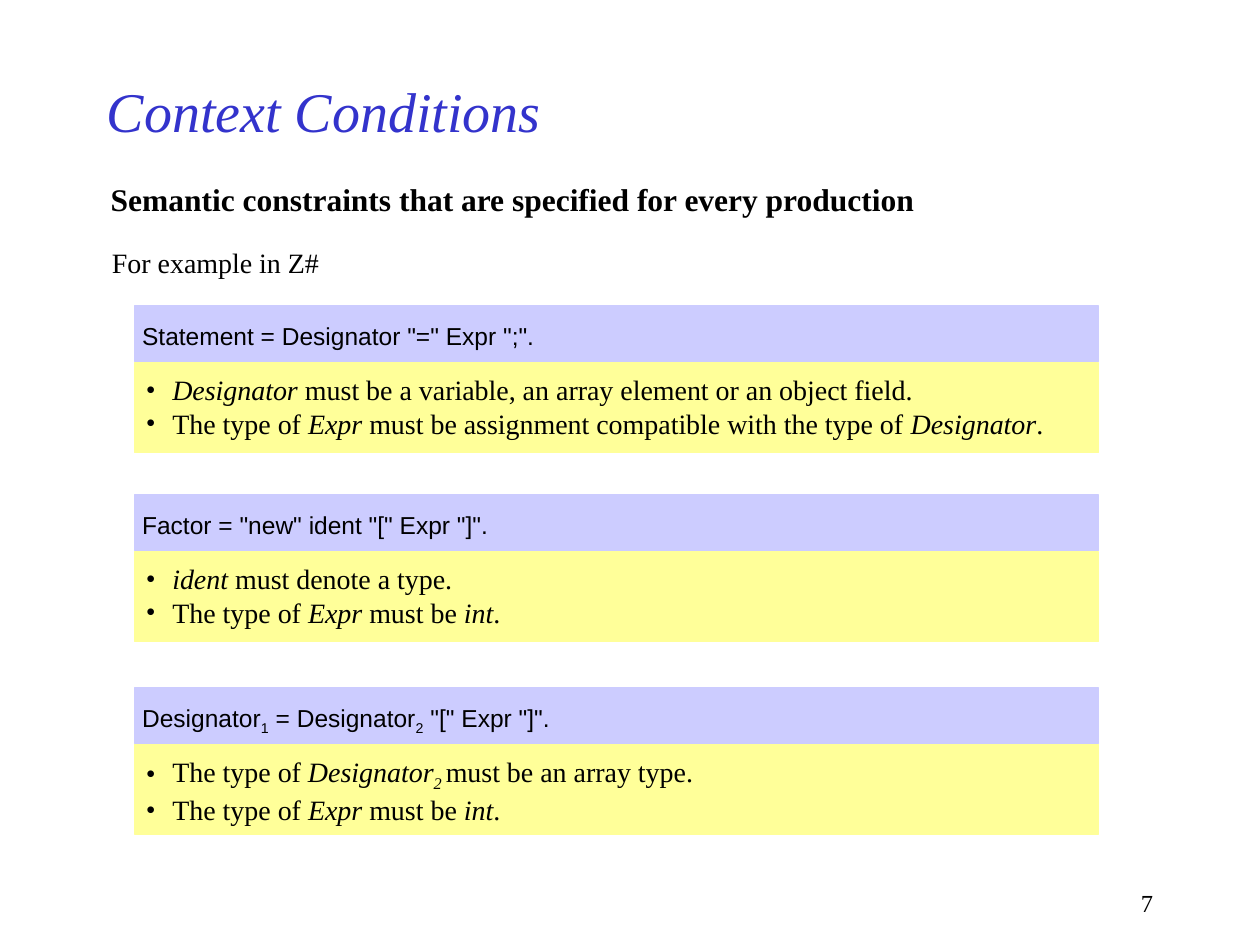
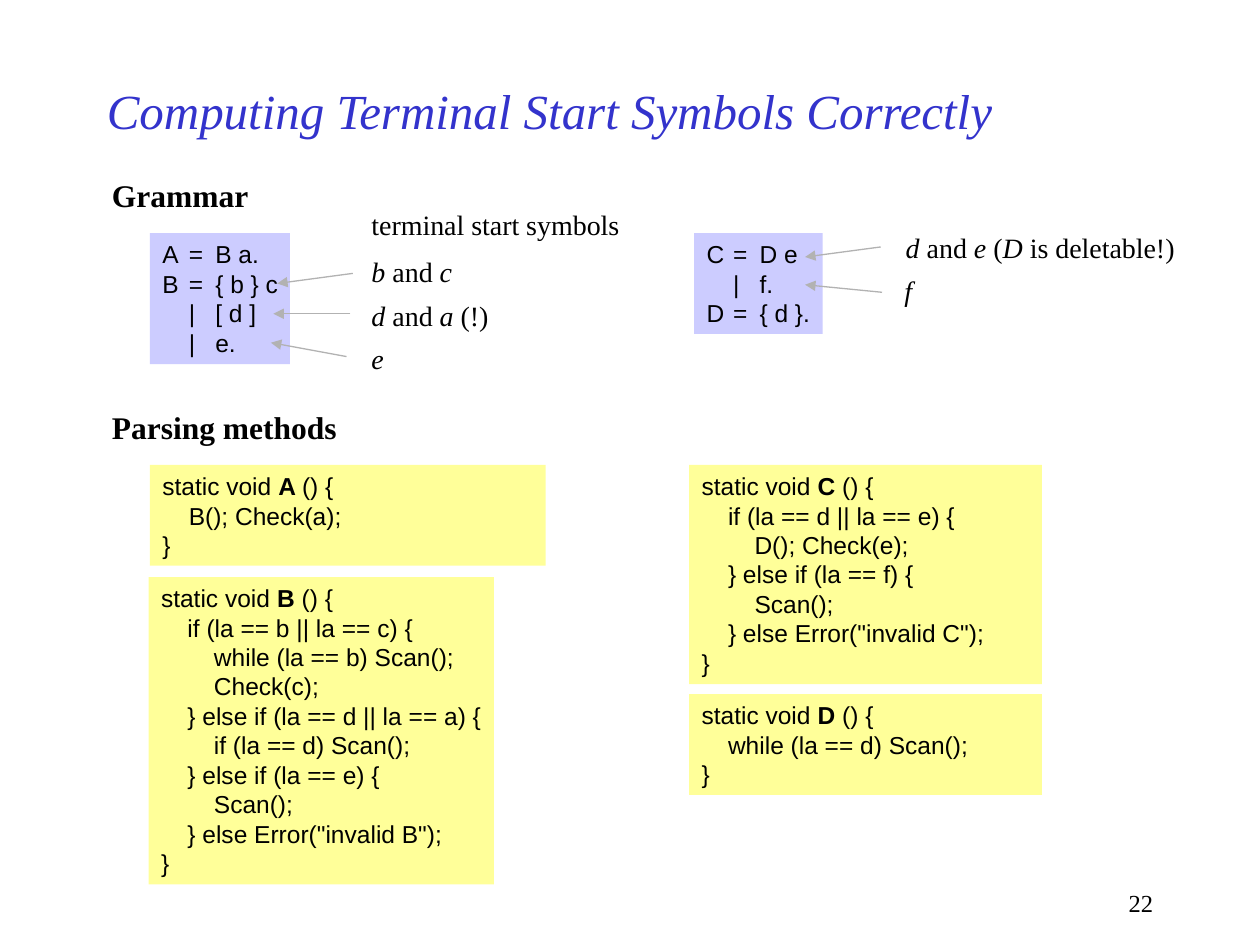
from lxml import etree
from pptx import Presentation
from pptx import util as u
from pptx.dml.color import RGBColor
from pptx.enum import shapes, text
from pptx.oxml import ns

PX = 9144
BLACK = RGBColor(0x00, 0x00, 0x00)
BLUE = RGBColor(0x33, 0x33, 0xCC)
LILAC = RGBColor(0xCC, 0xCC, 0xFF)
YELLOW = RGBColor(0xFF, 0xFF, 0x99)
GREY = RGBColor(0xB2, 0xB2, 0xB2)
SERIF, SANS = "Times New Roman", "Arial"
STEP = 21

RULES = [
    (243, [['Statement = Designator "=" Expr ";".']],
     [[("Designator", "i"), " must be a variable, an array element or an object field."],
      ["The type of ", ("Expr", "i"), " must be assignment compatible with the type of ",
       ("Designator", "i"), "."]]),
    (393, [['Factor = "new" ident "[" Expr "]".']],
     [[("ident", "i"), " must denote a type."],
      ["The type of ", ("Expr", "i"), " must be ", ("int", "i"), "."]]),
    (546, [["Designator", ("1", "s"), " = Designator", ("2", "s"), ' "[" Expr "]".']],
     [["The type of", (" Designator", "i"), ("2 ", "is"), "must be an array type."],
      ["The type of ", ("Expr", "i"), " must be ", ("int", "i"), "."]]),
]

GRAMMARS = [
    ((119, 185, 111, 104), ["A\t=\tB a.", "B\t=\t{ b } c", "\t|\t[ d ]", "\t|\te."]),
    ((551, 185, 102, 80), ["C\t=\tD e", "\t|\tf.", "D\t=\t{ d }."]),
]

START_SYMBOLS = [
    ((285, 160, 217, 37), ["terminal start symbols"]),
    ((285, 197, 84, 37), [("b", "i"), " and ", ("c", "i")]),
    ((285, 232, 113, 37), [("d", "i"), " and ", ("a", "i"), " (!)"]),
    ((285, 266, 30, 37), [("e", "i")]),
    ((709, 178, 233, 37), [("d", "i"), " and ", ("e", "i"), " (", ("D", "i"), " is deletable!)"]),
    ((708, 212, 26, 37), [("f", "i")]),
]

ARROWS = [
    (280, 217, 220, 225), (278, 249, 217, 249), (275, 283, 215, 272),
    (699, 196, 639, 204), (700, 232, 639, 226),
]

METHODS = [
    ("A", (119, 369, 314, 80), ["\tB(); Check(a);"]),
    ("B", (118, 458, 274, 244),
     ["\tif (la == b || la == c) {", "\t\twhile (la == b) Scan();", "\t\tCheck(c);",
      "\t} else if (la == d || la == a) {", "\t\tif (la == d) Scan();",
      "\t} else if (la == e) {", "\t\tScan();", '\t} else Error("invalid B");']),
    ("C", (547, 369, 280, 174),
     ["\tif (la == d || la == e) {", "\t\tD(); Check(e);", "\t} else if (la == f) {",
      "\t\tScan();", '\t} else Error("invalid C");']),
    ("D", (547, 551, 280, 80), ["\twhile (la == d) Scan();"]),
]


def emu(box):
    return [n * PX for n in box]


def add_runs(p, runs, size, font, color, style):
    for run in runs:
        content, own = (run, "") if isinstance(run, str) else run
        marks = style + own
        r = p.add_run()
        r.text = content
        f = r.font
        f.name, f.size, f.color.rgb = font, u.Pt(size), color
        f.bold, f.italic = "b" in marks, "i" in marks
        if "s" in marks:
            r._r.get_or_add_rPr().set("baseline", "-25000")


def set_bullet(p):
    pPr = p._p.get_or_add_pPr()
    pPr.set("marL", str(STEP * PX))
    pPr.set("indent", str(-STEP * PX))
    etree.SubElement(pPr, ns.qn("a:buFont"), typeface=SERIF)
    etree.SubElement(pPr, ns.qn("a:buChar"), char="•")


def set_tabs(p):
    tabs = etree.SubElement(p._p.get_or_add_pPr(), ns.qn("a:tabLst"))
    for i in (1, 2):
        etree.SubElement(tabs, ns.qn("a:tab"), pos=str(i * STEP * PX), algn="l")


def fill_text(sp, lines, size, font=SERIF, color=BLACK, style="",
              align=text.PP_ALIGN.LEFT, anchor=text.MSO_ANCHOR.TOP, right=0, layout=None):
    tf = sp.text_frame
    tf.word_wrap = True
    tf.vertical_anchor = anchor
    tf.margin_left, tf.margin_right = 10 * PX, right * PX
    tf.margin_top = tf.margin_bottom = 5 * PX
    for i, runs in enumerate(lines):
        p = tf.add_paragraph() if i else tf.paragraphs[0]
        p.alignment = align
        if layout:
            layout(p)
        add_runs(p, runs, size, font, color, style)


def add_label(s, box, lines, size, **options):
    fill_text(s.shapes.add_textbox(*emu(box)), lines, size, **options)


def add_band(s, box, color, outlined=False):
    sp = s.shapes.add_shape(shapes.MSO_SHAPE.RECTANGLE, *emu(box))
    sp.shadow.inherit = False
    sp.fill.solid()
    sp.fill.fore_color.rgb = color
    if outlined:
        sp.line.color.rgb = color
        sp.line.width = u.Pt(0.75)
    else:
        sp.line.fill.background()
    return sp


def add_code(s, box, lines, color):
    fill_text(add_band(s, box, color), lines, 14, font=SANS, layout=set_tabs)


def add_arrow(s, ends):
    c = s.shapes.add_connector(shapes.MSO_CONNECTOR.STRAIGHT, *emu(ends))
    c.line.color.rgb = GREY
    c.line.width = u.Pt(0.75)
    etree.SubElement(c.line._get_or_add_ln(), ns.qn("a:tailEnd"), type="triangle")
    etree.SubElement(c._element.spPr, ns.qn("a:effectLst"))


def add_heading(s, box, content):
    add_label(s, box, [[content]], 18, style="b")


def add_rule(s, top, production, conditions):
    add_band(s, (107, top + 45, 765, 71), YELLOW, outlined=True)
    add_band(s, (107, top, 765, 44), LILAC, outlined=True)
    add_label(s, (103, top + 7, 343, 34), production, 14, font=SANS)
    add_label(s, (106, top + 48, 750, 64), conditions, 16, layout=set_bullet)


def add_slide(prs, title, size, number):
    s = prs.slides.add_slide(prs.slide_layouts[6])
    add_label(s, (75, 50, 750, 75), [[title]], size, color=BLUE, style="i",
              anchor=text.MSO_ANCHOR.MIDDLE)
    add_label(s, (717, 700, 208, 33), [[number]], 14,
              align=text.PP_ALIGN.RIGHT, right=10)
    return s


def build_conditions(prs):
    s = add_slide(prs, "Context Conditions", 32, "7")
    add_heading(s, (78, 138, 659, 40),
                "Semantic constraints that are specified for every production")
    add_label(s, (79, 190, 184, 37), [["For example in Z#"]], 16)
    for rule in RULES:
        add_rule(s, *rule)


def build_start_symbols(prs):
    s = add_slide(prs, "Computing Terminal Start Symbols Correctly", 28, "22")
    add_heading(s, (79, 135, 128, 40), "Grammar")
    add_heading(s, (79, 319, 198, 40), "Parsing methods")
    for box, lines in GRAMMARS:
        add_code(s, box, [[line] for line in lines], LILAC)
    for box, runs in START_SYMBOLS:
        add_label(s, box, [runs], 16)
    for ends in ARROWS:
        add_arrow(s, ends)
    for name, box, body in METHODS:
        head = ["static void ", (name + " ", "b"), "() {"]
        add_code(s, box, [head, *([line] for line in body), ["}"]], YELLOW)


def main():
    prs = Presentation()
    prs.slide_width, prs.slide_height = emu((1000, 750))
    build_conditions(prs)
    build_start_symbols(prs)
    prs.save("out.pptx")


if __name__ == "__main__":
    main()
